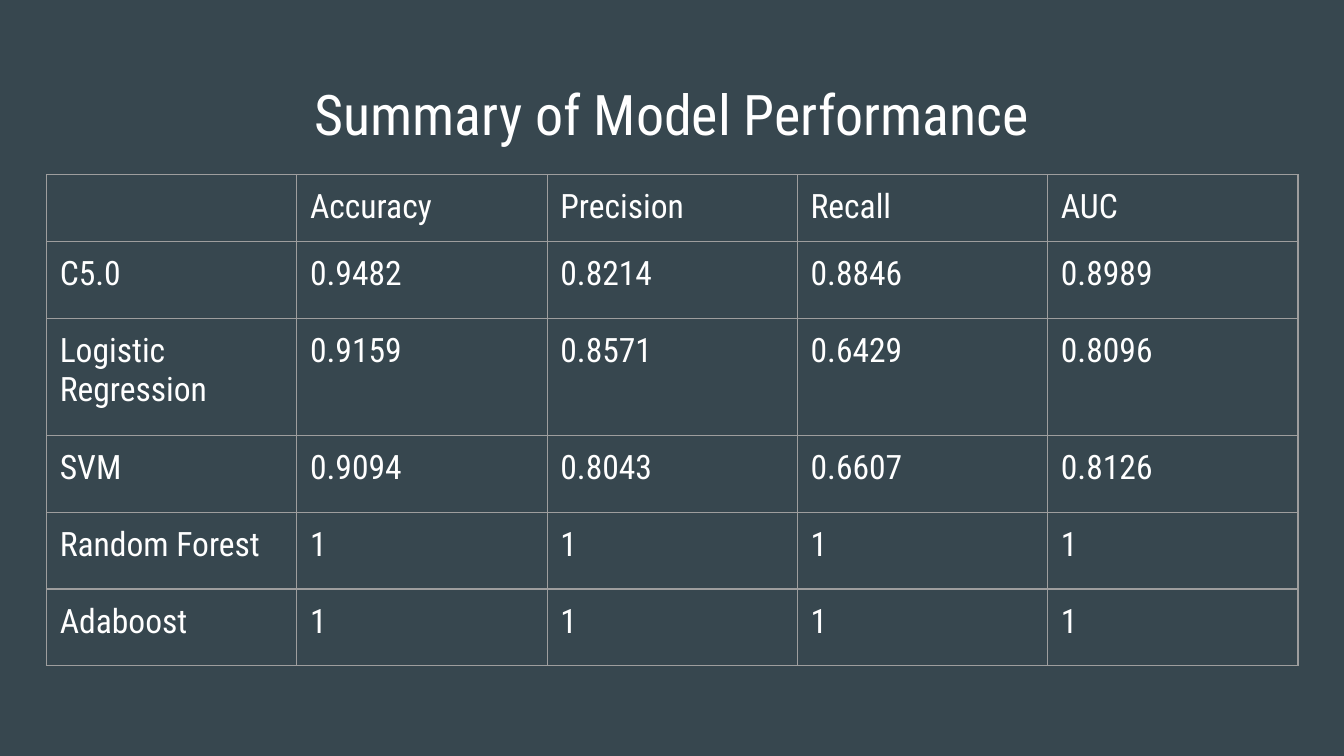
from lxml import etree
from pptx import Presentation
from pptx.dml.color import RGBColor
from pptx.enum import text
from pptx.oxml import ns
from pptx.util import Cm, Pt

TITLE = "Summary of Model Performance"
HEADINGS = ["", "Accuracy", "Precision", "Recall", "AUC"]
MODELS = [
    ("C5.0", "0.9482", "0.8214", "0.8846", "0.8989"),
    ("Logistic Regression", "0.9159", "0.8571", "0.6429", "0.8096"),
    ("SVM", "0.9094", "0.8043", "0.6607", "0.8126"),
    ("Random Forest", "1", "1", "1", "1"),
    ("Adaboost", "1", "1", "1", "1"),
]
ROW_HEIGHTS = [1.25, 1.45, 2.22, 1.45, 1.45, 1.45]
COLUMN_WIDTH = 4.73
INSET = Cm(0.25)
FONT = "Roboto Condensed"
SLATE = RGBColor(0x37, 0x47, 0x4F)
WHITE = RGBColor(0xFF, 0xFF, 0xFF)
GRID = RGBColor(0x9E, 0x9E, 0x9E)


def style(paragraph, size):
    paragraph.font.name = FONT
    paragraph.font.size = Pt(size)
    paragraph.font.color.rgb = WHITE


def set_insets(holder):
    holder.margin_left = holder.margin_right = INSET
    holder.margin_top = holder.margin_bottom = INSET


def add_borders(cell):
    properties = cell._tc.get_or_add_tcPr()
    for position, side in enumerate(("lnL", "lnR", "lnT", "lnB")):
        line = etree.Element(ns.qn(f"a:{side}"), w=str(Pt(0.75)))
        fill = etree.SubElement(line, ns.qn("a:solidFill"))
        etree.SubElement(fill, ns.qn("a:srgbClr"), val=str(GRID))
        properties.insert(position, line)


def add_title(slide):
    title = slide.shapes.add_textbox(Cm(0.87), Cm(1.25), Cm(23.67), Cm(1.6)).text_frame
    title.word_wrap = True
    title.vertical_anchor = text.MSO_ANCHOR.TOP
    set_insets(title)
    heading = title.paragraphs[0]
    heading.text = TITLE
    heading.alignment = text.PP_ALIGN.CENTER
    style(heading, 30)


def add_scores(slide):
    rows = [HEADINGS, *MODELS]
    scores = slide.shapes.add_table(
        len(rows), len(HEADINGS), Cm(0.88), Cm(3.3),
        Cm(COLUMN_WIDTH * len(HEADINGS)), Cm(sum(ROW_HEIGHTS)),
    ).table
    scores.first_row = scores.horz_banding = False
    for column in scores.columns:
        column.width = Cm(COLUMN_WIDTH)
    for row, height, values in zip(scores.rows, ROW_HEIGHTS, rows):
        row.height = Cm(height)
        for cell, value in zip(row.cells, values):
            cell.text = value
            cell.fill.background()
            set_insets(cell)
            style(cell.text_frame.paragraphs[0], 18)
            add_borders(cell)


def main():
    deck = Presentation()
    deck.slide_width, deck.slide_height = Cm(25.4), Cm(14.29)
    slide = deck.slides.add_slide(deck.slide_layouts[6])
    slide.background.fill.solid()
    slide.background.fill.fore_color.rgb = SLATE
    add_title(slide)
    add_scores(slide)
    deck.save("out.pptx")


if __name__ == "__main__":
    main()
